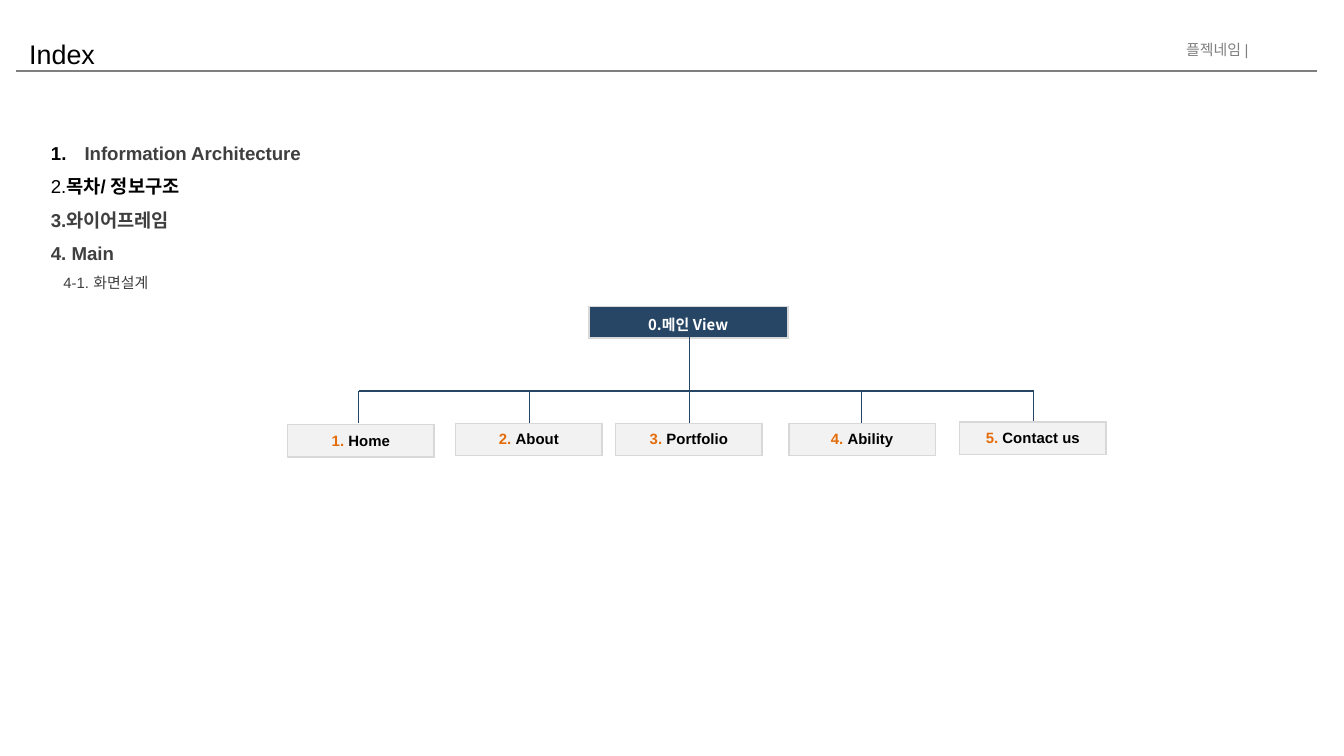
from dataclasses import dataclass

from lxml.etree import SubElement
from pptx import Presentation
from pptx.dml.color import RGBColor
from pptx.enum.text import MSO_ANCHOR, PP_ALIGN
from pptx.oxml.ns import qn
from pptx.util import Pt


@dataclass(frozen=True)
class Theme:
    black: str = "000000"
    white: str = "FFFFFF"
    grey: str = "7F7F7F"
    dark: str = "3F3F3F"
    navy: str = "274666"
    orange: str = "E46C0A"
    pale: str = "F2F2F2"
    border: str = "D8D8D8"
    latin: str = "Arial"
    korean: str = "Noto Sans CJK KR"
    title_size: float = 14.4
    item_size: float = 10
    small_size: float = 8


@dataclass(frozen=True)
class Span:
    text: str
    color: str
    bold: bool = True


@dataclass(frozen=True)
class IndexItem:
    spans: tuple[Span, ...]
    size: float
    numbered: bool = False
    indent: float = 0


@dataclass(frozen=True)
class Page:
    name: str
    left: float
    top: float
    stem: float


THEME = Theme()

INDEX = (
    IndexItem((Span("Information Architecture", THEME.dark),), THEME.item_size, True),
    IndexItem((Span("2.", THEME.black, False), Span("목차/ 정보구조", THEME.black)), THEME.item_size),
    IndexItem((Span("3.와이어프레임", THEME.dark),), THEME.item_size),
    IndexItem((Span("4. Main", THEME.dark),), THEME.item_size),
    IndexItem((Span("4-1. 화면설계", THEME.dark, False),), THEME.small_size, indent=6.7),
)

PAGES = (
    Page("Home", 154.1, 227.5, 192.2),
    Page("About", 244.1, 226.8, 283.7),
    Page("Portfolio", 329.8, 226.8, 369.4),
    Page("Ability", 422.6, 226.8, 461.5),
    Page("Contact us", 514.1, 226.1, 553.7),
)
PAGE_WIDTH, PAGE_HEIGHT = 78.5, 17.3
ROOT_BOTTOM, BRANCH_Y, STEM_END = 180.7, 209.5, 226.8

presentation = Presentation()
presentation.slide_width, presentation.slide_height = Pt(720), Pt(405)
slide = presentation.slides.add_slide(presentation.slide_layouts[6])


def add_text(paragraph, text: str, *, size: float, color: str,
             bold: bool = False, font: str = THEME.latin) -> None:
    run = paragraph.add_run()
    run.text = text
    run.font.size = Pt(size)
    run.font.bold = bold
    run.font.name = font
    run.font.color.rgb = RGBColor.from_string(color)
    SubElement(run.font._element, qn("a:ea"), typeface=THEME.korean)


def add_frame(left: float, top: float, width: float, height: float):
    frame = slide.shapes.add_textbox(Pt(left), Pt(top), Pt(width), Pt(height)).text_frame
    frame.word_wrap = True
    return frame


def add_line(x1: float, y1: float, x2: float, y2: float, color: str, weight: float) -> None:
    line = slide.shapes.add_connector(1, Pt(x1), Pt(y1), Pt(x2), Pt(y2))
    line.line.color.rgb = RGBColor.from_string(color)
    line.line.width = Pt(weight)
    SubElement(line._element.spPr, qn("a:effectLst"))


def set_indent(paragraph, margin: float, numbered: bool) -> None:
    properties = paragraph._p.get_or_add_pPr()
    properties.set("marL", str(Pt(margin)))
    if numbered:
        properties.set("indent", str(-Pt(margin)))
        bullet_color = SubElement(properties, qn("a:buClr"))
        SubElement(bullet_color, qn("a:srgbClr"), val=THEME.black)
        SubElement(properties, qn("a:buFont"), typeface=THEME.latin)
        SubElement(properties, qn("a:buAutoNum"), type="arabicPeriod")


def add_node(left: float, top: float, width: float, height: float, fill: str,
             spans: tuple[Span, ...], font: str = THEME.latin) -> None:
    table = slide.shapes.add_table(1, 1, Pt(left), Pt(top), Pt(width), Pt(height)).table
    table.first_row = table.horz_banding = False
    cell = table.cell(0, 0)
    cell.vertical_anchor = MSO_ANCHOR.MIDDLE
    properties = cell._tc.get_or_add_tcPr()
    for side in ("lnL", "lnR", "lnT", "lnB"):
        edge = SubElement(properties, qn(f"a:{side}"), w=str(Pt(1)))
        SubElement(SubElement(edge, qn("a:solidFill")), qn("a:srgbClr"), val=THEME.border)
    cell.fill.solid()
    cell.fill.fore_color.rgb = RGBColor.from_string(fill)
    paragraph = cell.text_frame.paragraphs[0]
    paragraph.alignment = PP_ALIGN.CENTER
    for span in spans:
        add_text(paragraph, span.text, size=THEME.small_size, color=span.color,
                 bold=span.bold, font=font)


# Header
project = add_frame(624.2, 18, 51.8, 17.3).paragraphs[0]
project.alignment = PP_ALIGN.RIGHT
add_text(project, "플젝네임 |", size=THEME.small_size, color=THEME.grey)
add_line(8.6, 38.2, 705.6, 38.2, THEME.grey, 1)
title = add_frame(8.6, 16.6, 578.2, 21.6).paragraphs[0]
add_text(title, "Index", size=THEME.title_size, color=THEME.black)

# Index list
index_frame = add_frame(20.2, 66.2, 160.6, 244.8)
for position, item in enumerate(INDEX):
    entry = index_frame.add_paragraph() if position else index_frame.paragraphs[0]
    entry.line_spacing = 1.5
    set_indent(entry, 18 if item.numbered else item.indent, item.numbered)
    for span in item.spans:
        add_text(entry, span.text, size=item.size, color=span.color, bold=span.bold)

# Site map: root, branch lines and pages
add_node(315.4, 164.2, 106.6, 16.6, THEME.navy,
         (Span("0.메인 View", THEME.white),), THEME.korean)
add_line(PAGES[0].stem, BRANCH_Y, PAGES[-1].stem, BRANCH_Y, THEME.navy, 0.75)
for number, page in enumerate(PAGES, start=1):
    stem_start = ROOT_BOTTOM if page.name == "Portfolio" else BRANCH_Y
    add_line(page.stem, stem_start, page.stem, STEM_END, THEME.navy, 0.75)
    add_node(page.left, page.top, PAGE_WIDTH, PAGE_HEIGHT, THEME.pale,
             (Span(f"{number}. ", THEME.orange), Span(page.name, THEME.black)))

presentation.save("out.pptx")
